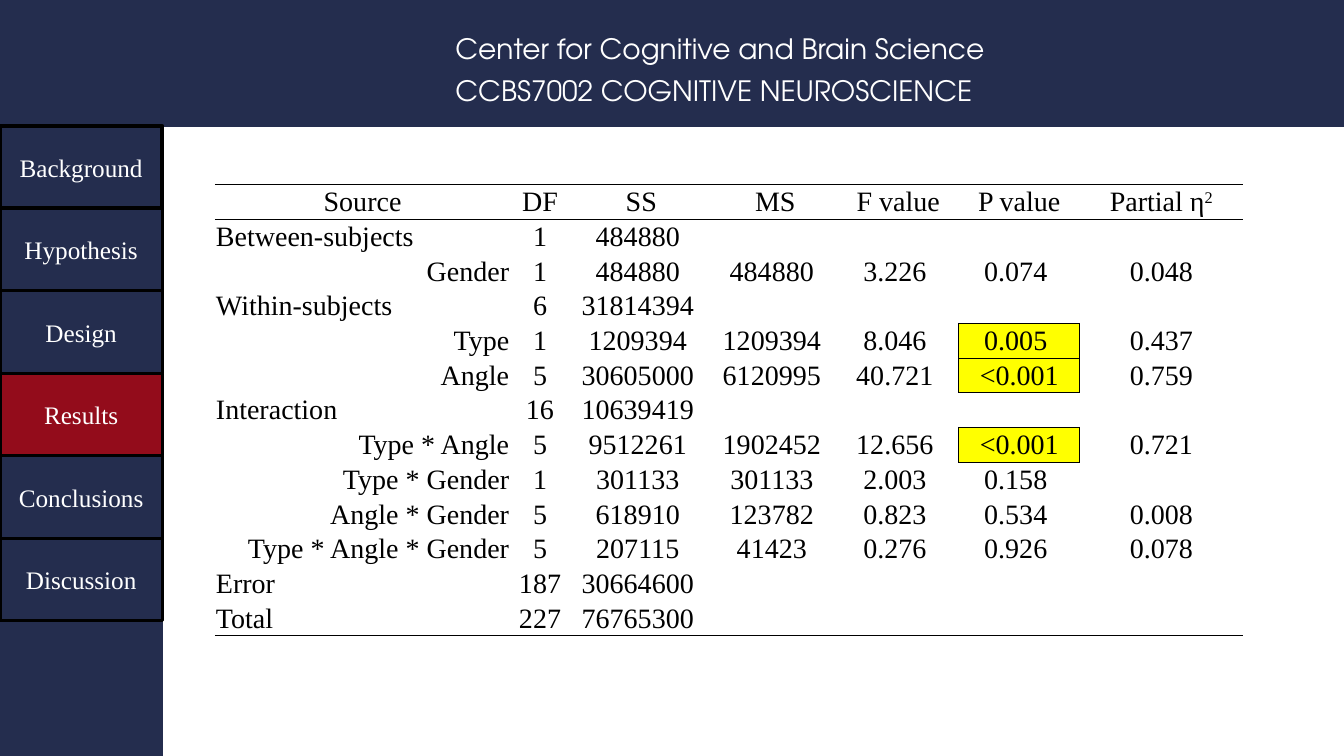
from dataclasses import dataclass

from lxml import etree
from pptx import Presentation
from pptx.dml.color import RGBColor
from pptx.enum.shapes import MSO_SHAPE
from pptx.enum.text import MSO_ANCHOR, MSO_AUTO_SIZE, PP_ALIGN
from pptx.oxml.ns import qn
from pptx.util import Pt

RECTANGLE = MSO_SHAPE.RECTANGLE
MIDDLE = MSO_ANCHOR.MIDDLE
FIT_SHAPE = MSO_AUTO_SIZE.SHAPE_TO_FIT_TEXT
LEFT, CENTER, RIGHT = PP_ALIGN.LEFT, PP_ALIGN.CENTER, PP_ALIGN.RIGHT

SLIDE_WIDTH, SLIDE_HEIGHT = 960, 540
BANNER_HEIGHT, SIDEBAR_WIDTH, TAB_HEIGHT = 90, 116, 58.9
ROW_HEIGHT = 24.75
COLUMN_WIDTHS = [211, 42.5, 102.2, 89.3, 86.4, 86.4, 116.6]
NO_STYLE = "{2D5ABB26-0587-4C30-8999-92F81FD0307C}"

COURSE = ["Center for Cognitive and Brain Science", "CCBS7002 COGNITIVE NEUROSCIENCE"]
SECTIONS = ["Background", "Hypothesis", "Design", "Results", "Conclusions", "Discussion"]
CURRENT_SECTION = "Results"

ANOVA = [
    ["Source", "DF", "SS", "MS", "F value", "P value", "Partial η^2"],
    ["Between-subjects", "1", "484880 "],
    ["Gender", "1", "484880 ", "484880 ", "3.226 ", "0.074 ", "0.048"],
    ["Within-subjects", "6", "31814394 "],
    ["Type", "1", "1209394 ", "1209394 ", "8.046 ", "0.005 ", "0.437"],
    ["Angle", "5", "30605000 ", "6120995 ", "40.721 ", "<0.001", "0.759"],
    ["Interaction", "16", "10639419 "],
    ["Type * Angle", "5", "9512261 ", "1902452 ", "12.656 ", "<0.001", "0.721"],
    ["Type * Gender", "1", "301133 ", "301133 ", "2.003 ", "0.158 "],
    ["Angle * Gender", "5", "618910 ", "123782 ", "0.823 ", "0.534 ", "0.008"],
    ["Type * Angle * Gender", "5", "207115 ", "41423 ", "0.276 ", "0.926 ", "0.078"],
    ["Error", "187", "30664600 "],
    ["Total", "227", "76765300 "],
]
SIGNIFICANT = {(4, 5), (5, 5), (7, 5)}
RULES = {0: 1, 1: 0.5, len(ANOVA): 1}
SIDES = {"a:lnL": (0, -1), "a:lnR": (0, 1), "a:lnT": (-1, 0), "a:lnB": (1, 0)}


@dataclass(frozen=True)
class Theme:
    """Colours, fonts and type sizes of the slide."""

    navy: str = "242D4E"
    red: str = "930C1B"
    yellow: str = "FFFF00"
    black: str = "000000"
    white: str = "FFFFFF"
    heading_font: str = "TeX Gyre Adventor"
    body_font: str = "Times New Roman"
    large: int = 20
    medium: int = 18


def assign(target, values):
    """Set each named attribute of the target."""
    for name, value in values.items():
        setattr(target, name, value)


def border_width(row, column, side):
    """Return the line width on one side of a table cell, or None."""
    down, across = SIDES[side]
    if {(row, column), (row + down, column + across)} & SIGNIFICANT:
        return 0.5
    if across:
        return None
    return RULES.get(row + (down == 1))


def source_alignment(row, column):
    """Return the alignment of a cell from its place in the analysis."""
    if row == 0 or column > 0:
        return CENTER
    return RIGHT if len(ANOVA[row]) > 3 else LEFT


class SlideBuilder:
    """Draws styled elements on the current slide."""

    def __init__(self, slide, theme):
        """Keep the slide and its theme."""
        self.slide = slide
        self.theme = theme

    def style(self, font, name, size, color):
        """Give a font its face, size and colour."""
        assign(font, {"name": name, "size": Pt(size)})
        font.color.rgb = RGBColor.from_string(color)

    def panel(self, box, fill, line, weight, label=None):
        """Draw a filled rectangle with an optional centred label."""
        panel = self.slide.shapes.add_shape(RECTANGLE, *map(Pt, box))
        panel.shadow.inherit = False
        panel.fill.solid()
        panel.fill.fore_color.rgb = RGBColor.from_string(fill)
        panel.line.color.rgb = RGBColor.from_string(line)
        panel.line.width = Pt(weight)
        if label:
            assign(panel.text_frame, {"vertical_anchor": MIDDLE, "word_wrap": True})
            paragraph = panel.text_frame.paragraphs[0]
            assign(paragraph, {"text": label, "alignment": CENTER})
            self.style(paragraph.runs[0].font, self.theme.body_font,
                       self.theme.medium, self.theme.white)

    def heading(self, box, lines):
        """Write the banner lines."""
        frame = self.slide.shapes.add_textbox(*map(Pt, box)).text_frame
        assign(frame, {"word_wrap": True, "auto_size": FIT_SHAPE, "text": "\n".join(lines)})
        for paragraph in frame.paragraphs:
            paragraph.line_spacing = 1.25
            self.style(paragraph.runs[0].font, self.theme.heading_font,
                       self.theme.large, self.theme.white)

    def border(self, cell, side, weight):
        """Draw one side of a table cell, or leave it clear."""
        line = etree.SubElement(cell._tc.get_or_add_tcPr(), qn(side))
        if weight is None:
            etree.SubElement(line, qn("a:noFill"))
            return
        line.set("w", str(Pt(weight)))
        ink = etree.SubElement(line, qn("a:solidFill"))
        etree.SubElement(ink, qn("a:srgbClr")).set("val", self.theme.black)

    def cell(self, cell, text, alignment):
        """Write a table cell, raising whatever follows a caret."""
        assign(cell, {"vertical_anchor": MIDDLE, "margin_left": Pt(0.75),
                      "margin_right": Pt(0.75), "margin_top": Pt(0.75), "margin_bottom": 0})
        paragraph = cell.text_frame.paragraphs[0]
        paragraph.alignment = alignment
        base, _, exponent = text.partition("^")
        for part in filter(None, (base, exponent)):
            run = paragraph.add_run()
            run.text = part
            self.style(run.font, self.theme.body_font, self.theme.large, self.theme.black)
        if exponent:
            run.font._element.set("baseline", "30000")
        if not text:
            ending = etree.SubElement(paragraph._p, qn("a:endParaRPr"))
            ending.set("sz", str(self.theme.large * 100))

    def table(self, left, top, rows):
        """Draw the analysis of variance table."""
        frame = self.slide.shapes.add_table(
            len(rows), len(COLUMN_WIDTHS), Pt(left), Pt(top),
            Pt(sum(COLUMN_WIDTHS)), Pt(ROW_HEIGHT * len(rows)))
        table = frame.table
        assign(table, {"first_row": False, "horz_banding": False})
        table._tbl.tblPr.find(qn("a:tableStyleId")).text = NO_STYLE
        for column, width in zip(table.columns, COLUMN_WIDTHS):
            column.width = Pt(width)
        for row, values in enumerate(rows):
            table.rows[row].height = Pt(ROW_HEIGHT)
            for column in range(len(COLUMN_WIDTHS)):
                cell = table.cell(row, column)
                text = values[column] if column < len(values) else ""
                self.cell(cell, text, source_alignment(row, column))
                for side in SIDES:
                    self.border(cell, side, border_width(row, column, side))
                if (row, column) in SIGNIFICANT:
                    cell.fill.solid()
                    cell.fill.fore_color.rgb = RGBColor.from_string(self.theme.yellow)
                else:
                    cell.fill.background()


def main():
    """Build the results slide and save it."""
    deck = Presentation()
    assign(deck, {"slide_width": Pt(SLIDE_WIDTH), "slide_height": Pt(SLIDE_HEIGHT)})
    theme = Theme()
    builder = SlideBuilder(deck.slides.add_slide(deck.slide_layouts[6]), theme)
    sidebar = (0, BANNER_HEIGHT, SIDEBAR_WIDTH, SLIDE_HEIGHT - BANNER_HEIGHT)
    banner = (0, 0, SLIDE_WIDTH, BANNER_HEIGHT)
    for area in (sidebar, banner):
        builder.panel(area, theme.navy, theme.navy, 1)
    builder.heading((318.25, 13, 574.5, 65.5), COURSE)
    for index, section in enumerate(SECTIONS):
        tab = (0, BANNER_HEIGHT + index * TAB_HEIGHT, SIDEBAR_WIDTH, TAB_HEIGHT)
        fill = theme.red if section == CURRENT_SECTION else theme.navy
        builder.panel(tab, fill, theme.black, 2.25 if index else 3, section)
    builder.table(153.5, 131.75, ANOVA)
    deck.save("out.pptx")


if __name__ == "__main__":
    main()
